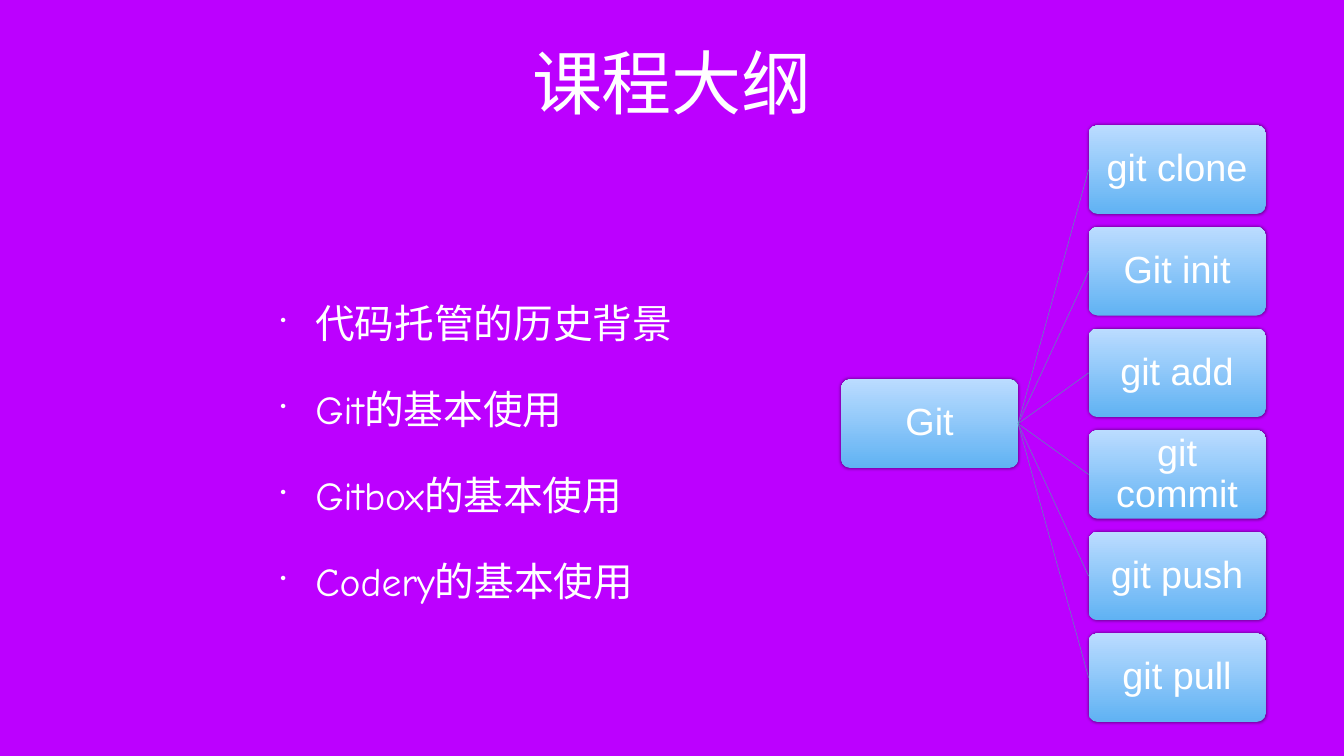
"""Builds the course outline slide with a topic list and a tree of Git commands."""
import pptx
import pptx.dml.color
import pptx.enum.dml
import pptx.enum.shapes
import pptx.enum.text
import pptx.oxml
import pptx.oxml.ns
import pptx.util

Pt = pptx.util.Pt
ANCHOR = pptx.enum.text.MSO_ANCHOR
ALIGN = pptx.enum.text.PP_ALIGN
NS = pptx.oxml.ns.nsdecls("a")

COLOURS = {
    "background": "BC00FF",
    "text": "FFFFFF",
    "box_bottom": "60B2F3",
    "box_top": "BBDCFF",
    "branch": "5A8DB5",
    "shadow": "000000",
}
TOPICS = ["代码托管的历史背景", "Git的基本使用", "Gitbox的基本使用", "Codery的基本使用"]
COMMANDS = ["git clone", "Git init", "git add", "git commit", "git push", "git pull"]
BOX_WIDTH, BOX_HEIGHT = 252.7, 126.4
ROOT_LEFT, COMMAND_LEFT = 1201.7, 1555.2
COMMAND_TOP, COMMAND_STEP = 179.2, 145.15


class OutlineSlide:
    """Holds the style and the current slide."""

    def __init__(self, deck):
        self.slide = deck.slides.add_slide(deck.slide_layouts[5])
        background = self.slide.background.fill
        background.solid()
        background.fore_color.rgb = self.colour("background")

    def colour(self, name):
        return pptx.dml.color.RGBColor.from_string(COLOURS[name])

    def apply(self, target, values):
        for name, value in values.items():
            setattr(target, name, value)

    def fill_text(self, shape, lines, inset, font, paragraph_format):
        frame = shape.text_frame
        frame.text = "\n".join(lines)
        sides = ("margin_left", "margin_top", "margin_right", "margin_bottom")
        self.apply(frame, {side: Pt(inset) for side in sides})
        self.apply(frame, {
            "word_wrap": True,
            "auto_size": pptx.enum.text.MSO_AUTO_SIZE.NONE,
            "vertical_anchor": ANCHOR.MIDDLE,
        })
        for paragraph in frame.paragraphs:
            self.apply(paragraph, paragraph_format)
            for run in paragraph.runs:
                self.apply(run.font, font)
                run.font.color.rgb = self.colour("text")

    def title(self, text, left, top, width, height):
        heading = self.slide.shapes.title
        self.apply(heading, {"left": Pt(left), "top": Pt(top),
                             "width": Pt(width), "height": Pt(height)})
        self.fill_text(heading, [text], 6, {"name": "Comic Neue", "size": Pt(100)},
                       {"alignment": ALIGN.CENTER})

    def bullets(self, lines, left, top, width, height):
        topics = self.slide.shapes.add_textbox(Pt(left), Pt(top), Pt(width), Pt(height))
        self.fill_text(topics, lines, 6, {"name": "Comic Neue", "size": Pt(56.7)},
                       {"line_spacing": 1.2, "space_before": Pt(41)})
        for paragraph in topics.text_frame.paragraphs:
            properties = paragraph._p.get_or_add_pPr()
            properties.set("marL", str(Pt(50)))
            properties.set("indent", str(-Pt(50)))
            for bullet in ('<a:buSzPct %s val="43000"/>', '<a:buChar %s char="•"/>'):
                properties.append(pptx.oxml.parse_xml(bullet % NS))

    def box(self, text, left, top):
        node = self.slide.shapes.add_shape(
            pptx.enum.shapes.MSO_SHAPE.ROUNDED_RECTANGLE,
            Pt(left), Pt(top), Pt(BOX_WIDTH), Pt(BOX_HEIGHT))
        node.adjustments[0] = 0.1
        node.line.fill.background()
        node.fill.gradient()
        node.fill.gradient_angle = 90
        for stop, name in zip(node.fill.gradient_stops, ("box_bottom", "box_top")):
            stop.color.rgb = self.colour(name)
        node._element.spPr.append(pptx.oxml.parse_xml(
            f'<a:effectLst {NS}><a:outerShdw blurRad="{Pt(5)}" dist="0" dir="16200000" '
            f'rotWithShape="0"><a:srgbClr val="{COLOURS["shadow"]}">'
            '<a:alpha val="50000"/></a:srgbClr></a:outerShdw></a:effectLst>'))
        self.fill_text(node, [text], 6.5, {"name": "Arial", "size": Pt(54)},
                       {"alignment": ALIGN.CENTER, "line_spacing": 0.9})
        return node

    def branch(self, parent, child):
        link = self.slide.shapes.add_connector(
            pptx.enum.shapes.MSO_CONNECTOR.STRAIGHT, 0, 0, 0, 0)
        link.begin_connect(parent, 3)
        link.end_connect(child, 1)
        link.line.width = Pt(0.75)
        link.line.color.rgb = self.colour("branch")
        link._element.spPr.append(pptx.oxml.parse_xml(f"<a:effectLst {NS}/>"))


def main():
    deck = pptx.Presentation()
    deck.slide_width, deck.slide_height = Pt(1920), Pt(1080)
    outline = OutlineSlide(deck)
    outline.title("课程大纲", 381, -19.4, 1158, 271)
    outline.bullets(TOPICS, 394.5, 244, 1130, 788)
    root_top = COMMAND_TOP + COMMAND_STEP * (len(COMMANDS) - 1) / 2
    root = outline.box("Git", ROOT_LEFT, root_top)
    for row, command in enumerate(COMMANDS):
        node = outline.box(command, COMMAND_LEFT, COMMAND_TOP + row * COMMAND_STEP)
        outline.branch(root, node)
    deck.save("out.pptx")


if __name__ == "__main__":
    main()
